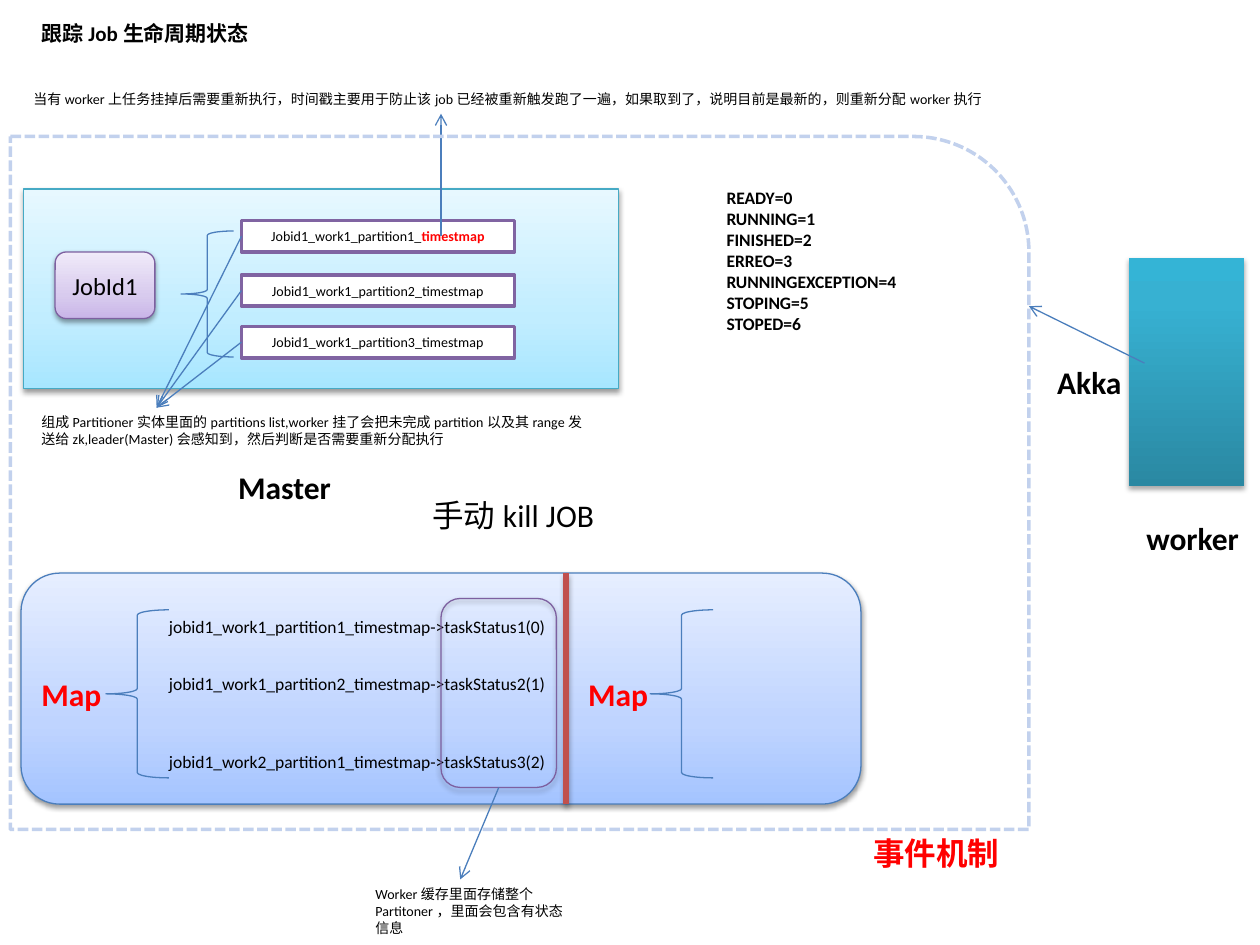
"""Build the slide on tracking the life cycle of a job."""
import dataclasses
import lxml.etree
import pptx
import pptx.dml.color
import pptx.enum.dml
import pptx.enum.shapes
import pptx.enum.text
import pptx.oxml.ns

Pt = pptx.util.Pt
Kind = pptx.enum.shapes.MSO_SHAPE
Align = pptx.enum.text.PP_ALIGN
Anchor = pptx.enum.text.MSO_ANCHOR
qn = pptx.oxml.ns.qn


@dataclasses.dataclass(frozen=True)
class Theme:
    font: str = "Calibri"
    black: str = "000000"
    white: str = "FFFFFF"
    red: str = "FF0000"
    blue: str = "4B7EBC"
    teal: str = "46AAC5"
    plum: str = "7D60A0"
    violet: str = "8064A2"
    brick: str = "C0504D"
    pale: str = "C2D1ED"
    aqua: tuple = ((0, "A7E6FF"), (35, "C1EDFF"), (100, "E7F8FF"))
    lilac: tuple = ((0, "C9B5E8"), (35, "D8CBEE"), (100, "F0EAF9"))
    sky: tuple = ((0, "A4C4FF"), (35, "BFD4FF"), (100, "E6EEFF"))
    ocean: tuple = ((0, "2A88A2"), (80, "37B1D2"), (100, "34B4D6"))
    small: int = 8
    text: int = 10
    title: int = 12
    label: int = 14
    large: int = 18
    thin: float = 0.75
    thick: float = 2
    bar: float = 3


T = Theme()


def color(code):
    return pptx.dml.color.RGBColor.from_string(code)


def node(parent, tag, **attrs):
    child = lxml.etree.SubElement(parent, qn(tag))
    for key, value in attrs.items():
        child.set(key, str(value))
    return child


def write(para, text, size, tint=T.black, bold=False):
    run = para.add_run()
    run.text = text
    run.font.name = T.font
    run.font.size = Pt(size)
    run.font.bold = bold
    run.font.color.rgb = color(tint)


def place(shape, box):
    shape.left, shape.top, shape.width, shape.height = map(Pt, box)


def shade(props, alpha=38, dist=1.6):
    glow = node(props.find(qn("a:effectLst")), "a:outerShdw",
                blurRad=Pt(3.1), dist=Pt(dist), dir=5400000, rotWithShape=0)
    black = node(glow, "a:srgbClr", val=T.black)
    node(black, "a:alpha", val=alpha * 1000)


def paint(shape, fill):
    if fill is None:
        shape.fill.background()
    elif isinstance(fill, str):
        shape.fill.solid()
        shape.fill.fore_color.rgb = color(fill)
    else:
        shape.fill.gradient()
        shape.fill.gradient_angle = 90
        stops = shape._element.spPr.find(qn("a:gradFill")).find(qn("a:gsLst"))
        for old in list(stops):
            stops.remove(old)
        for pos, code in fill:
            node(node(stops, "a:gs", pos=pos * 1000), "a:srgbClr", val=code)


def block(slide, kind, box, fill=None, line=None, width=T.thin, shadow=None):
    shape = slide.shapes.add_shape(kind, *map(Pt, box))
    paint(shape, fill)
    if line:
        shape.line.color.rgb = color(line)
        shape.line.width = Pt(width)
    else:
        shape.line.fill.background()
    shape.shadow.inherit = False
    if shadow:
        shade(shape._element.spPr, *shadow)
    return shape


def center(shape, runs):
    frame = shape.text_frame
    frame.vertical_anchor = Anchor.MIDDLE
    para = frame.paragraphs[0]
    para.alignment = Align.CENTER
    for run in runs:
        write(para, *run)


def label(slide, box, text, size=T.large, tint=T.black, bold=False):
    frame = slide.shapes.add_textbox(*map(Pt, box)).text_frame
    frame.word_wrap = True
    write(frame.paragraphs[0], text, size, tint, bold)


def join(slide, start, end, tint=T.blue, width=T.thin, arrow=True):
    link = slide.shapes.add_connector(
        pptx.enum.shapes.MSO_CONNECTOR.STRAIGHT, *map(Pt, start + end))
    link.line.color.rgb = color(tint)
    link.line.width = Pt(width)
    props = link._element.spPr
    if arrow:
        node(props.find(qn("a:ln")), "a:tailEnd", type="arrow")
    node(props, "a:effectLst")
    return link


def fill_holder(holder, box, lines, size):
    place(holder, box)
    frame = holder.text_frame
    frame.vertical_anchor = Anchor.TOP
    frame.auto_size = pptx.enum.text.MSO_AUTO_SIZE.NONE
    for index, line in enumerate(lines):
        para = frame.add_paragraph() if index else frame.paragraphs[0]
        para.alignment = Align.LEFT
        para.space_before = Pt(0)
        props = para._p.get_or_add_pPr()
        props.set("marL", "0")
        props.set("indent", "0")
        node(props, "a:buNone")
        write(para, line, size, bold=True)


def job_panel(slide):
    block(slide, Kind.RECTANGLE, (13.5, 108, 340, 114), T.aqua, T.teal, shadow=(38, 1.6))
    job = block(slide, Kind.ROUNDED_RECTANGLE, (31.5, 144, 57, 38), T.lilac, T.plum,
                shadow=(38, 1.6))
    center(job, [("JobId1", T.label)])
    block(slide, Kind.LEFT_BRACE, (103.5, 132, 30, 72), line=T.blue)
    for num, top in enumerate((126, 157, 186.5), 1):
        part = block(slide, Kind.RECTANGLE, (138, top, 156, 18), T.white, T.violet, T.thick)
        mark = (T.red, True) if num == 1 else ()
        center(part, [(f"Jobid1_work1_partition{num}_", T.small),
                      ("timestmap", T.small, *mark)])
        join(slide, (138, top + 9), (89.5, 233))
    join(slide, (252, 135), (252, 65))
    label(slide, (12, 48, 576, 17), "当有worker上任务挂掉后需要重新执行，时间戳主要用于防止该job"
          "已经被重新触发跑了一遍，如果取到了，说明目前是最新的，则重新分配worker执行", T.small)
    label(slide, (16.5, 233, 325.5, 26.5), "组成Partitioner实体里面的partitions list,worker"
          "挂了会把未完成partition以及其range发送给zk,leader(Master)会感知到，"
          "然后判断是否需要重新分配执行", T.small)


def map_panel(slide):
    block(slide, Kind.ROUNDED_RECTANGLE, (12, 327.5, 480, 132), T.sky, T.blue,
          shadow=(38, 1.6))
    for left, brace in ((16.5, 60.5), (329, 371.5)):
        label(slide, (left, 382, 54, 29), "Map", tint=T.red, bold=True)
        block(slide, Kind.LEFT_BRACE, (brace, 348.5, 36, 96), line=T.blue)
    tasks = ((348.5, 1, 1), (381, 1, 2), (425.5, 2, 1))
    for num, (top, work, part) in enumerate(tasks):
        label(slide, (89.5, top, 232, 19.5), f"jobid1_work{work}_partition{part}_timestmap->"
              f"taskStatus{num + 1}({num})", T.text)
    bar = join(slide, (323.5, 327.5), (323.5, 459.5), T.brick, T.bar, False)
    shade(bar._element.spPr, 35, 1.8)
    block(slide, Kind.ROUNDED_RECTANGLE, (252, 342, 66, 108), line=T.plum, shadow=(38, 1.6))
    join(slide, (285, 450), (263, 502.5))
    label(slide, (207.5, 502.5, 124, 36),
          "Worker缓存里面存储整个Partitoner，里面会包含有状态信息", T.small)


def main():
    deck = pptx.Presentation()
    deck.slide_width, deck.slide_height = Pt(720), Pt(540)
    slide = deck.slides.add_slide(deck.slide_layouts[1])
    fill_holder(slide.shapes.title, (16.5, 8, 246, 21.5), ["跟踪Job生命周期状态"], T.title)
    fill_holder(slide.placeholders[1], (408, 103, 144, 92),
                ["READY=0", "RUNNING=1", "FINISHED=2", "ERREO=3",
                 "RUNNINGEXCEPTION=4", "STOPING=5", "STOPED=6"], T.text)
    job_panel(slide)
    map_panel(slide)
    frame = block(slide, Kind.ROUND_1_RECTANGLE, (6, 78, 582, 396), line=T.pale, width=T.thick)
    frame.line.dash_style = pptx.enum.dml.MSO_LINE.SQUARE_DOT
    block(slide, Kind.RECTANGLE, (645, 147.5, 66, 130.5), T.ocean, shadow=(35, 1.8))
    join(slide, (654, 207.5), (588, 175))
    label(slide, (129, 264, 102, 29), "Master", bold=True)
    label(slide, (648, 293, 72, 29), "worker", bold=True)
    label(slide, (597, 204, 102, 29), "Akka", bold=True)
    label(slide, (492, 473, 96, 29), "事件机制", tint=T.red, bold=True)
    label(slide, (240, 280, 162, 29), "手动kill JOB")
    deck.save("out.pptx")


main()
